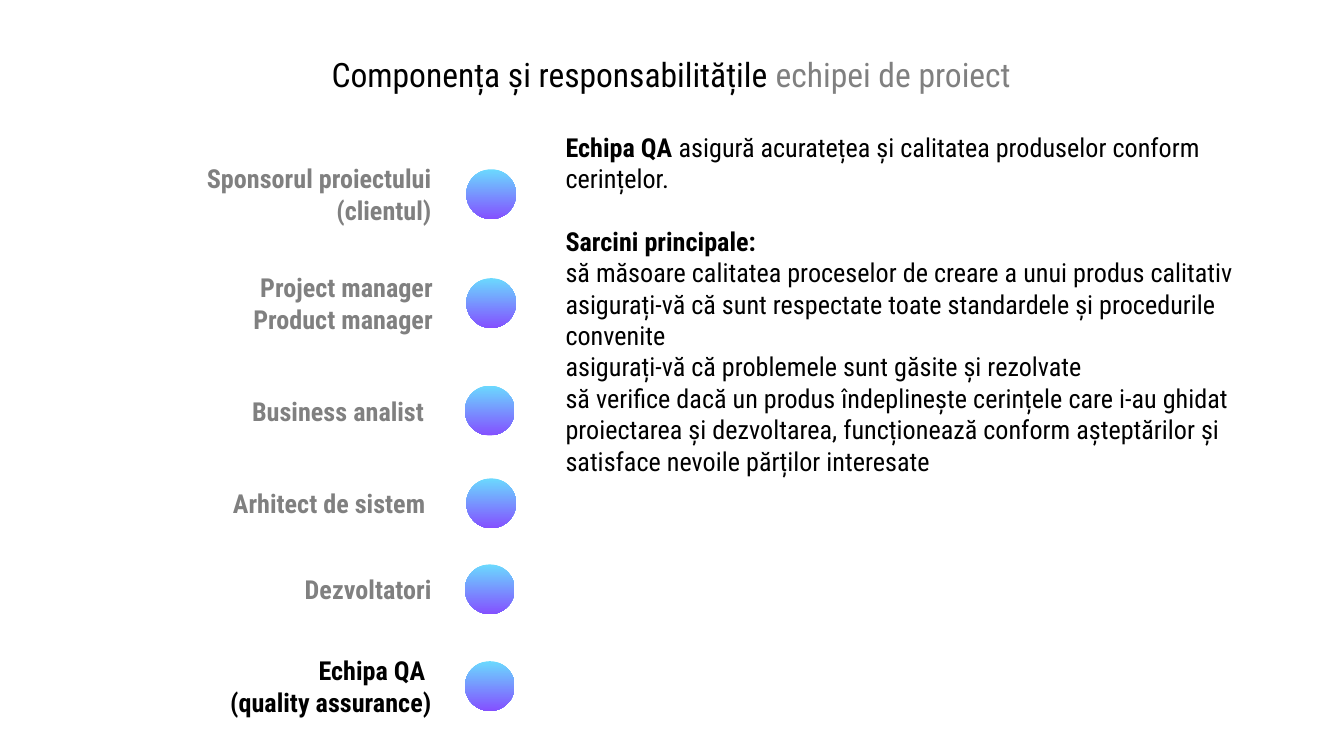
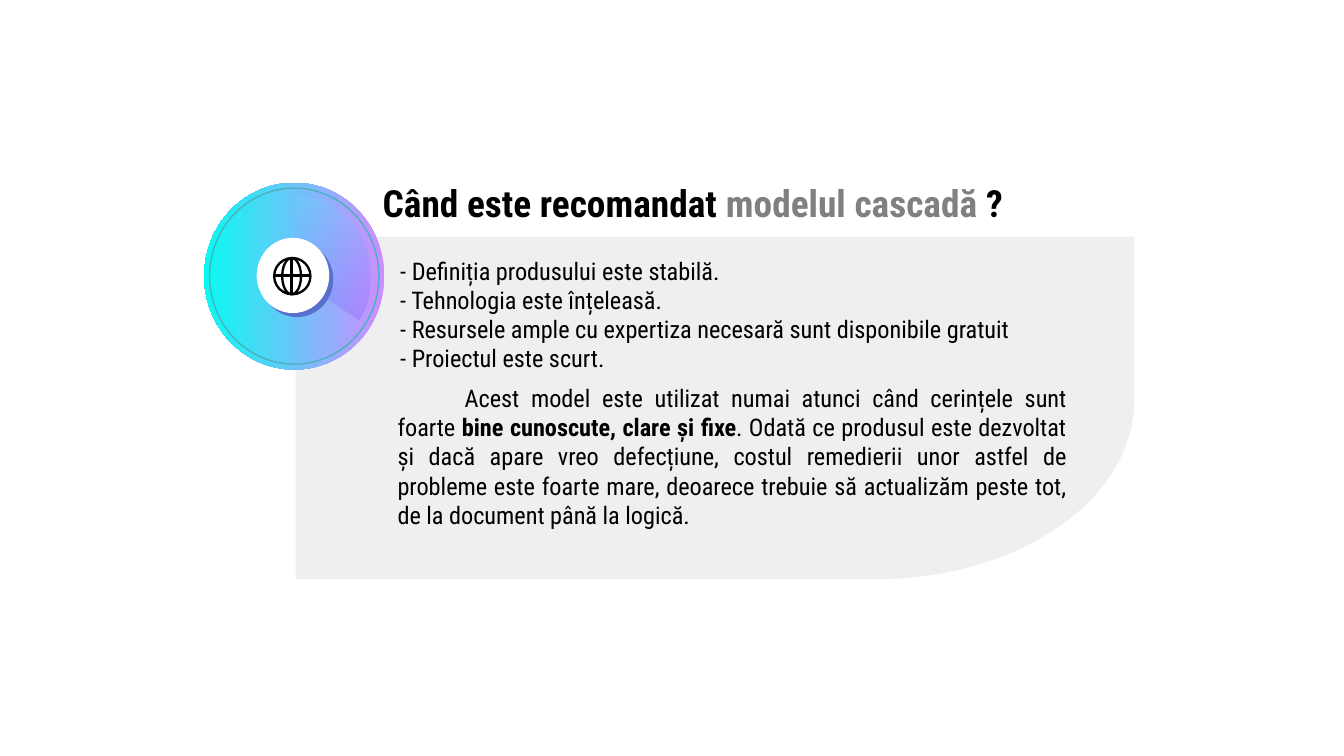
from math import cos, radians, sin

from lxml.etree import SubElement
from pptx import Presentation
from pptx.dml.color import RGBColor
from pptx.enum.shapes import MSO_CONNECTOR, MSO_SHAPE
from pptx.enum.text import MSO_ANCHOR, MSO_AUTO_SIZE, PP_ALIGN
from pptx.oxml.ns import qn
from pptx.util import Inches, Pt

COLORS = {
    "black": "000000",
    "gray": "808080",
    "white": "FFFFFF",
    "panel": "EFEFEF",
    "sky": "6BD9FE",
    "violet": "8450FF",
    "lilac": "CE8DFF",
    "cyan": "0AFAF1",
    "ring": "49B1BF",
    "hub_shade": "5770CC",
}
FONT = "Roboto Condensed"


def write(box, text, area, size=14, align=PP_ALIGN.LEFT, anchor=MSO_ANCHOR.MIDDLE,
          inset_x=0.1, inset_y=0.1, indent=0, gaps=()):
    box.left, box.top, box.width, box.height = [Inches(value) for value in area]
    frame = box.text_frame
    frame.word_wrap = True
    frame.auto_size = MSO_AUTO_SIZE.NONE
    frame.vertical_anchor = anchor
    frame.margin_left = frame.margin_right = Inches(inset_x)
    frame.margin_top = frame.margin_bottom = Inches(inset_y)
    for index, spans in enumerate(text):
        para = frame.paragraphs[0] if index == 0 else frame.add_paragraph()
        para.alignment = align
        if indent:
            properties = para._p.get_or_add_pPr()
            properties.set("marL", "0")
            properties.set("indent", str(Inches(indent)))
        if index in gaps:
            para.space_before = Pt(size * 1.2)
        for words, color, bold in spans:
            span = para.add_run()
            span.text = words
            span.font.name = FONT
            span.font.size = Pt(size)
            span.font.bold = bold
            span.font.color.rgb = RGBColor.from_string(COLORS[color])


def paint(shape, *colors, angle=270, opacity=None, outline=None, width=1):
    shape.shadow.inherit = False
    if len(colors) == 2:
        shape.fill.gradient()
        shape.fill.gradient_angle = angle
        for stop, color in zip(shape.fill.gradient_stops, colors):
            stop.color.rgb = RGBColor.from_string(COLORS[color])
        if opacity:
            for tint in shape._element.spPr.iter(qn("a:srgbClr")):
                SubElement(tint, qn("a:alpha"), val=str(opacity * 1000))
    elif colors:
        shape.fill.solid()
        shape.fill.fore_color.rgb = RGBColor.from_string(COLORS[colors[0]])
    else:
        shape.fill.background()
    if outline:
        shape.line.color.rgb = RGBColor.from_string(COLORS[outline])
        shape.line.width = Pt(width)
    else:
        shape.line.fill.background()


deck = Presentation()
deck.slide_width, deck.slide_height = Inches(10), Inches(10 * 9 / 16)
title_only = deck.slide_layouts[5]

team_page = deck.slides.add_slide(title_only)
write(
    team_page.shapes.title,
    [[("Componența și responsabilitățile ", "black", False), ("echipei de proiect", "gray", False)]],
    area=(2.08, 0.35, 5.83, 0.4), size=18, align=PP_ALIGN.CENTER, anchor=MSO_ANCHOR.TOP,
    inset_y=0.05,
)

roles = [
    (1.26, 3.47, 3.31, ["Sponsorul proiectului (clientul)"], "gray"),
    (2.07, 3.47, 3.32, ["Project manager", "Product manager"], "gray"),
    (2.87, 3.46, 3.3, ["Business analist "], "gray"),
    (3.56, 3.47, 3.31, ["Arhitect de sistem "], "gray"),
    (4.2, 3.46, 3.31, ["Dezvoltatori"], "gray"),
    (4.92, 3.46, 3.31, ["Echipa QA ", "(quality assurance)"], "black"),
]
label_width = 2.35
for top, dot_left, label_right, names, color in roles:
    dot = team_page.shapes.add_shape(
        MSO_SHAPE.OVAL, Inches(dot_left), Inches(top), Inches(0.37), Inches(0.37))
    paint(dot, "sky", "violet")
    label = team_page.shapes.add_textbox(0, 0, 0, 0)
    write(label, [[(name, color, True)] for name in names],
          area=(label_right - label_width, top, label_width, 0.37), align=PP_ALIGN.RIGHT)

tasks = [
    "să măsoare calitatea proceselor de creare a unui produs calitativ",
    "asigurați-vă că sunt respectate toate standardele și procedurile convenite",
    "asigurați-vă că problemele sunt găsite și rezolvate",
    "să verifice dacă un produs îndeplinește cerințele care i-au ghidat proiectarea și "
    "dezvoltarea, funcționează conform așteptărilor și satisface nevoile părților interesate",
]
write(
    team_page.shapes.add_textbox(0, 0, 0, 0),
    [
        [("Echipa QA ", "black", True),
         ("asigură acuratețea și calitatea produselor conform cerințelor.", "black", False)],
        [("Sarcini principale:", "black", True)],
    ] + [[(task, "black", False)] for task in tasks],
    area=(4.11, 1.09, 5.67, 2.34), gaps=(1,),
)

cascade_page = deck.slides.add_slide(title_only)
shapes = cascade_page.shapes

corner = [(6.52 + 1.92 * cos(radians(step)), 2.98 + 1.33 * sin(radians(step)))
          for step in range(0, 91, 3)]
panel_points = [(2.2, 1.76), (8.44, 1.76)] + corner + [(2.2, 4.31)]
wedge_arc = [(2.19 + 0.57 * cos(radians(step)), 2.06 + 0.6 * sin(radians(step)))
             for step in range(32, -91, -2)]
wedge_points = [(2.19, 2.06)] + wedge_arc
outlines = []
for points in (panel_points, wedge_points):
    corners = [(Inches(x), Inches(y)) for x, y in points]
    builder = shapes.build_freeform(*corners[0])
    builder.add_line_segments(corners[1:], close=True)
    outlines.append(builder.convert_to_shape())
panel, wedge = outlines
paint(panel, "panel")
paint(wedge, "sky", "violet", opacity=26)

ovals = [
    ((1.52, 1.36, 1.34, 1.39), ("lilac", "cyan"), None),
    ((1.56, 1.4, 1.26, 1.31), (), "ring"),
    ((1.94, 1.8, 0.54, 0.56), ("hub_shade",), None),
    ((1.91, 1.77, 0.54, 0.56), ("white",), None),
    ((2.04, 1.92, 0.27, 0.27), (), "black"),
    ((2.1, 1.92, 0.14, 0.27), (), "black"),
]
for area, colors, outline in ovals:
    oval = shapes.add_shape(MSO_SHAPE.OVAL, *[Inches(value) for value in area])
    paint(oval, *colors, angle=180, outline=outline, width=0.75 if outline == "ring" else 1.25)
    if outline == "ring":
        shapes._spTree.append(wedge._element)

for ends in ((2.04, 2.05, 2.31, 2.05), (2.17, 1.92, 2.17, 2.19)):
    meridian = shapes.add_connector(MSO_CONNECTOR.STRAIGHT, *[Inches(value) for value in ends])
    meridian.line.color.rgb = RGBColor.from_string(COLORS["black"])
    meridian.line.width = Pt(1.25)
    SubElement(meridian._element.spPr, qn("a:effectLst"))

write(
    shapes.title,
    [[("Când este recomandat ", "black", True), ("modelul cascadă ", "gray", True),
      ("?", "black", True)]],
    area=(2.51, 1.24, 5.29, 0.63), size=20, align=PP_ALIGN.CENTER, anchor=MSO_ANCHOR.TOP,
)

conditions = [
    "- Definiția produsului este stabilă.",
    "- Tehnologia este înțeleasă.",
    "- Resursele ample cu expertiza necesară sunt disponibile gratuit",
    "- Proiectul este scurt.",
]
advice = [
    ("Acest model este utilizat numai atunci când cerințele sunt foarte ", "black", False),
    ("bine cunoscute, clare și fixe", "black", True),
    (". Odată ce produsul este dezvoltat și dacă apare vreo defecțiune, costul remedierii unor "
     "astfel de probleme este foarte mare, deoarece trebuie să actualizăm peste tot, de la "
     "document până la logică.", "black", False),
]
for text, area in (
    ([[(condition, "black", False)] for condition in conditions], (2.38, 1.93, 5.76, 0.82)),
    ([advice], (2.86, 2.76, 5.17, 1.27)),
):
    write(shapes.add_textbox(0, 0, 0, 0), text, area, size=13,
          align=PP_ALIGN.JUSTIFY, indent=0.5)

deck.save("out.pptx")
